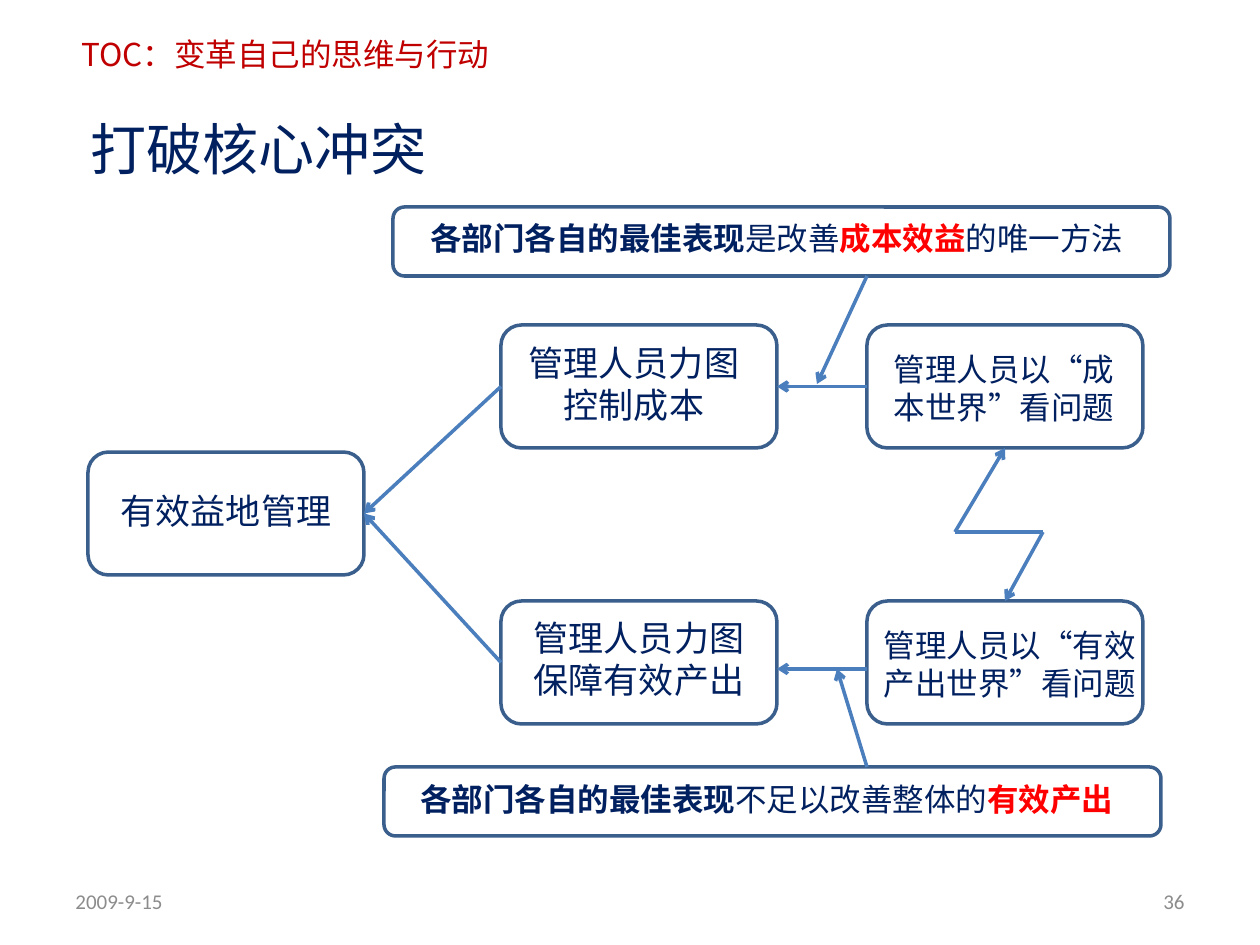
from dataclasses import dataclass

from lxml import etree
from pptx import Presentation
from pptx import util as u
from pptx.dml.color import RGBColor
from pptx.enum import shapes, text
from pptx.oxml.ns import qn


@dataclass(frozen=True)
class Theme:
    navy: str = "002060"
    header: str = "C00000"
    accent: str = "FF0000"
    grey: str = "8C8C8C"
    border: str = "3A5F8C"
    arrow: str = "4B7EBC"
    cjk: str = "Noto Sans CJK JP"
    heading: str = "Noto Sans CJK SC"
    latin: str = "Calibri"
    title: int = 32
    large: int = 20
    body: int = 18
    small: int = 12
    line: int = 2


THEME = Theme()
PX = u.Inches(1) // 126
TOP, LEFT, BOTTOM, RIGHT = range(4)
LEFT_ALIGN, CENTER, RIGHT_ALIGN = (
    text.PP_ALIGN.LEFT, text.PP_ALIGN.CENTER, text.PP_ALIGN.RIGHT)


def write(box, runs, size, font=THEME.cjk, align=CENTER, anchor=text.MSO_ANCHOR.TOP):
    """Fill a text object with (words, colour, bold) runs."""
    frame = box.text_frame
    frame.word_wrap = True
    frame.auto_size = text.MSO_AUTO_SIZE.NONE
    frame.vertical_anchor = anchor
    para = frame.paragraphs[0]
    para.alignment = align
    for words, colour, bold in runs:
        span = para.add_run()
        span.text = words
        span.font.size = u.Pt(size)
        span.font.bold = bold
        span.font.color.rgb = RGBColor.from_string(colour)
        span.font.name = font
        etree.SubElement(span.font._element, qn("a:ea"), typeface=font)


def link(start, end, arrow=True):
    """Join two ends, each an (x, y) point or a (shape, side) pair."""
    points = [(0, 0) if hasattr(stop[0], "shape_id") else stop for stop in (start, end)]
    line = page.shapes.add_connector(
        shapes.MSO_CONNECTOR.STRAIGHT, *[n * PX for point in points for n in point])
    for stop, join in ((start, line.begin_connect), (end, line.end_connect)):
        if hasattr(stop[0], "shape_id"):
            join(*stop)
    line.line.color.rgb = RGBColor.from_string(THEME.arrow)
    line.line.width = u.Pt(THEME.line)
    if arrow:
        etree.SubElement(line.line._get_or_add_ln(), qn("a:tailEnd"), type="arrow")
    etree.SubElement(line._element.spPr, qn("a:effectLst"))


deck = Presentation()
deck.slide_width, deck.slide_height = 1260 * PX, 945 * PX
page = deck.slides.add_slide(deck.slide_layouts[5])

# Title, header and footer
title = page.shapes.title
title.left, title.top, title.width, title.height = [n * PX for n in (78, 108, 364, 81)]
write(title, [("打破核心冲突", THEME.navy, False)], THEME.title, THEME.heading, LEFT_ALIGN)

header = page.shapes.add_textbox(69 * PX, 29 * PX, 452 * PX, 50 * PX)
write(header, [("TOC：变革自己的思维与行动", THEME.header, False)],
      THEME.body, THEME.heading, LEFT_ALIGN)

for x, words, align in ((63, "2009-9-15", LEFT_ALIGN), (903, "36", RIGHT_ALIGN)):
    footer = page.shapes.add_textbox(x * PX, 876 * PX, 294 * PX, 50 * PX)
    write(footer, [(words, THEME.grey, False)], THEME.small, THEME.latin,
          align, text.MSO_ANCHOR.MIDDLE)

# Boxes: outline position and size, label position and size, type size, runs
NODE = (276, 123)
BAR = (777, 69)
best = ("各部门各自的最佳表现", THEME.navy, True)
boxes = {
    "goal": ((88, 452, *NODE), (98, 483, 256, 55), THEME.large,
             [("有效益地管理", THEME.navy, False)]),
    "cost": ((501, 325, *NODE), (511, 335, 246, 97), THEME.large,
             [("管理人员力图控制成本", THEME.navy, False)]),
    "cost_view": ((867, 325, *NODE), (876, 344, 256, 89), THEME.body,
                  [("管理人员以“成本世界”看问题", THEME.navy, False)]),
    "output": ((501, 601, *NODE), (511, 610, 256, 97), THEME.large,
               [("管理人员力图保障有效产出", THEME.navy, False)]),
    "output_view": ((867, 601, *NODE), (867, 620, 286, 89), THEME.body,
                    [("管理人员以“有效产出世界”看问题", THEME.navy, False)]),
    "cost_belief": ((393, 207, *BAR), (403, 213, 748, 50), THEME.body,
                    [best, ("是改善", THEME.navy, False),
                     ("成本效益", THEME.accent, True),
                     ("的唯一方法", THEME.navy, False)]),
    "output_belief": ((384, 767, *BAR), (393, 774, 748, 50), THEME.body,
                      [best, ("不足以改善整体的", THEME.navy, False),
                       ("有效产出", THEME.accent, True)]),
}
outlines = {}
for name, (outline, label, size, runs) in boxes.items():
    box = page.shapes.add_shape(
        shapes.MSO_SHAPE.FLOWCHART_ALTERNATE_PROCESS, *[n * PX for n in outline])
    box.shadow.inherit = False
    box.fill.background()
    box.line.color.rgb = RGBColor.from_string(THEME.border)
    box.line.width = u.Pt(THEME.line)
    outlines[name] = box
    write(page.shapes.add_textbox(*[n * PX for n in label]), runs, size)

# Reasoning arrows
for need in ("cost", "output"):
    link((outlines[need], LEFT), (outlines["goal"], RIGHT))
link((outlines["cost_view"], LEFT), (outlines["cost"], RIGHT))
link((867, 669), (777, 669))

# Conflict zigzag between the two views
link((1043, 532), (outlines["output_view"], TOP))
link((955, 532), (outlines["cost_view"], BOTTOM))
link((1043, 532), (955, 532), arrow=False)

# Beliefs pointing at the arrows they support
link((867, 767), (837, 669))
link((867, 276), (817, 384))

deck.save("out.pptx")
